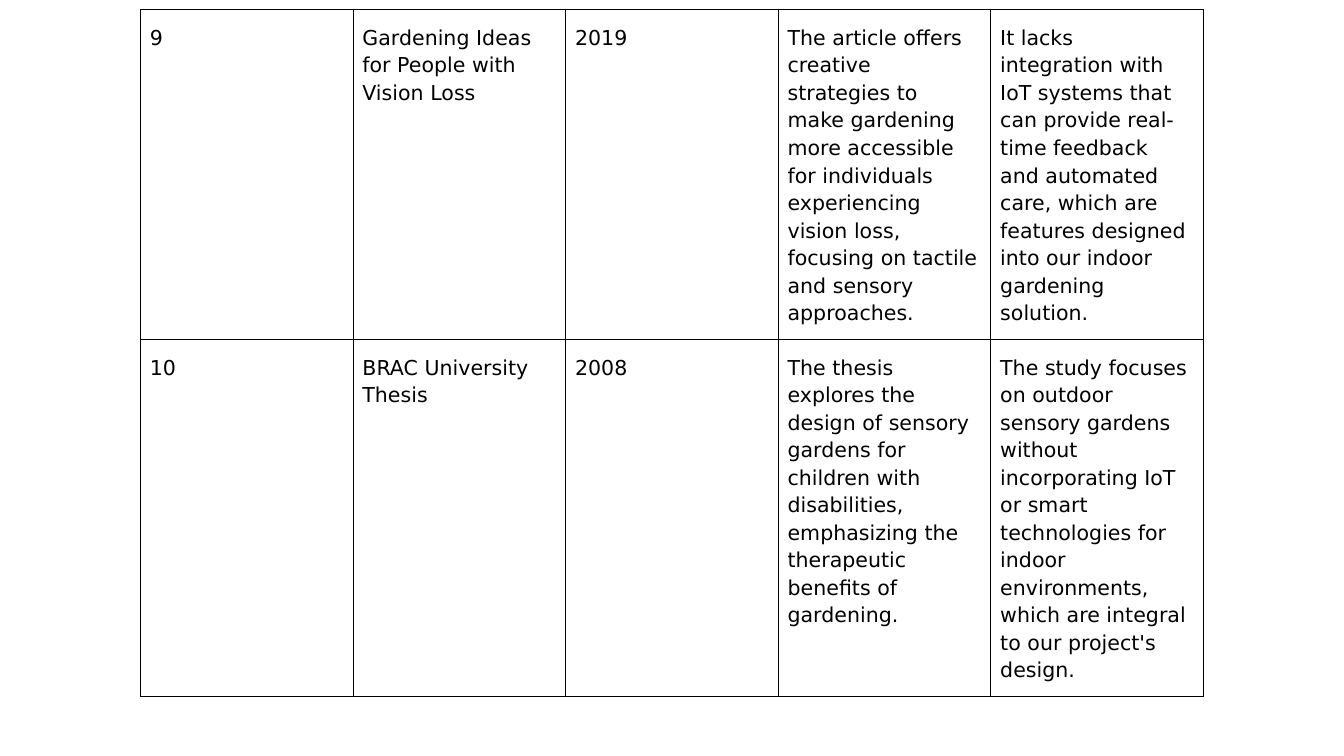
from dataclasses import dataclass

from lxml.etree import SubElement
from pptx import Presentation
from pptx.dml.color import RGBColor
from pptx.oxml.ns import qn
from pptx.util import Inches, Pt


@dataclass(frozen=True)
class Theme:
    font: str = "DejaVu Sans"
    ink: str = "000000"
    body_size: float = 11
    border_width: float = 0.6
    line_spacing: float = 1.15
    space_after: float = 12


theme = Theme()


def add_borders(cell):
    properties = cell._tc.get_or_add_tcPr()
    for side in ("a:lnL", "a:lnR", "a:lnT", "a:lnB"):
        border = SubElement(properties, qn(side), w=str(Pt(theme.border_width)))
        fill = SubElement(border, qn("a:solidFill"))
        SubElement(fill, qn("a:srgbClr"), val=theme.ink)


studies = [
    (
        "9",
        "Gardening Ideas for People with Vision Loss",
        "2019",
        "The article offers creative strategies to make gardening more accessible "
        "for individuals experiencing vision loss, focusing on tactile and sensory approaches.",
        "It lacks integration with IoT systems that can provide real-time feedback and "
        "automated care, which are features designed into our indoor gardening solution.",
    ),
    (
        "10",
        "BRAC University Thesis",
        "2008",
        "The thesis explores the design of sensory gardens for children with disabilities, "
        "emphasizing the therapeutic benefits of gardening.",
        "The study focuses on outdoor sensory gardens without incorporating IoT or smart "
        "technologies for indoor environments, which are integral to our project's design.",
    ),
]
row_heights = [2.45, 2.66]
review_width = Inches(7.91)

presentation = Presentation()
presentation.slide_width = Inches(10)
presentation.slide_height = Inches(10) * 9 // 16
slide = presentation.slides.add_slide(presentation.slide_layouts[6])

column_count = len(studies[0])
literature_review = slide.shapes.add_table(
    len(studies), column_count,
    (presentation.slide_width - review_width) // 2, Inches(0.07),
    review_width, Inches(sum(row_heights)),
).table
literature_review.first_row = False
literature_review.horz_banding = False

for column in literature_review.columns:
    column.width = review_width // column_count

for row, height, study in zip(literature_review.rows, row_heights, studies):
    row.height = Inches(height)
    for cell, wording in zip(row.cells, study):
        cell.margin_left = Inches(0.07)
        cell.margin_right = Inches(0.08)
        cell.margin_top = cell.margin_bottom = Inches(0.1)
        add_borders(cell)
        cell.fill.background()
        paragraph = cell.text_frame.paragraphs[0]
        paragraph.line_spacing = theme.line_spacing
        paragraph.space_after = Pt(theme.space_after)
        run = paragraph.add_run()
        run.text = wording
        run.font.name = theme.font
        run.font.size = Pt(theme.body_size)
        run.font.color.rgb = RGBColor.from_string(theme.ink)

presentation.save("out.pptx")
